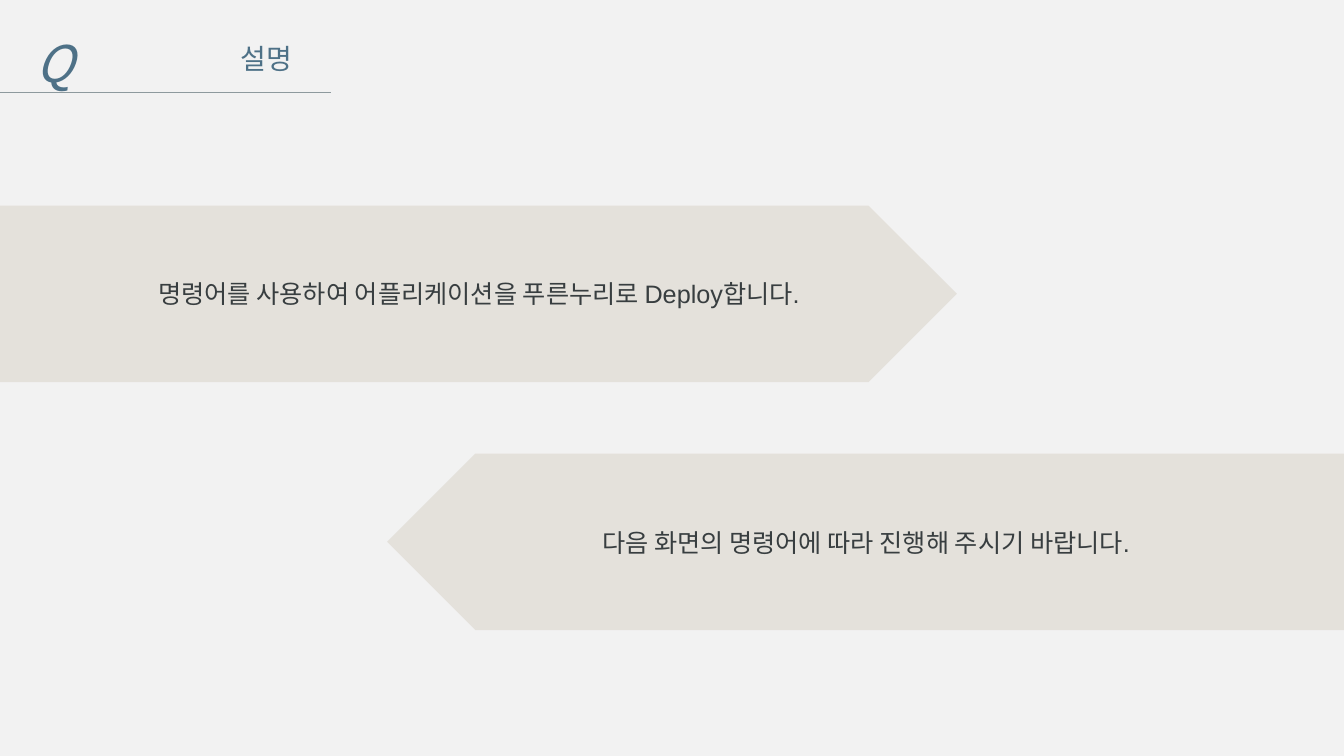
"""Build the explanation slide with two opposing arrow banners."""
import pptx
import pptx.dml.color
import pptx.enum.shapes
import pptx.enum.text
import pptx.oxml.ns
import pptx.util
from dataclasses import dataclass
from lxml import etree

Inches = pptx.util.Inches


@dataclass(frozen=True)
class Theme:
    background: str = "F2F2F2"
    accent: str = "4E7187"
    rule: str = "8E9A9E"
    banner: str = "D1CABC"
    body: str = "383E40"
    banner_opacity: int = 41
    rule_width: float = 0.5
    title_size: int = 20
    letter_size: int = 36
    body_size: int = 18
    title_font: str = "Lato"
    korean_font: str = "Noto Sans CJK KR"
    body_font: str = "Arial"


THEME = Theme()
SLIDE_SIZE = (13.33, 7.5)
HEADER_RULE = {"y": 0.92, "length": 3.28}
BANNER_SIZE = (9.49, 1.75)

HEADINGS = [
    {"text": "설명", "box": (2.26, 0.2, 0.76, 0.61),
     "size": THEME.title_size, "font": THEME.title_font, "italic": False},
    {"text": "Q", "box": (0.25, -0.03, 0.56, 0.91),
     "size": THEME.letter_size, "font": THEME.korean_font, "italic": True},
]
BANNERS = [
    {"text": "명령어를 사용하여 어플리케이션을 푸른누리로 Deploy합니다.",
     "top": 2.04, "text_box": (0.5, 2.71, 8.5, 0.4), "points_left": False},
    {"text": "다음 화면의 명령어에 따라 진행해 주시기 바랍니다.",
     "top": 4.5, "text_box": (4.36, 5.18, 8.46, 0.4), "points_left": True},
]


def color(value):
    return pptx.dml.color.RGBColor.from_string(value)


def add_text(slide, text, box, size, font, fill, italic=False, wrap=True, spacing=None):
    text_box = slide.shapes.add_textbox(*map(Inches, box))
    frame = text_box.text_frame
    frame.word_wrap = wrap
    frame.auto_size = pptx.enum.text.MSO_AUTO_SIZE.SHAPE_TO_FIT_TEXT
    paragraph = frame.paragraphs[0]
    paragraph.alignment = pptx.enum.text.PP_ALIGN.CENTER
    if spacing:
        paragraph.line_spacing = spacing
    run = paragraph.add_run()
    run.text = text
    run.font.size = pptx.util.Pt(size)
    run.font.name = font
    run.font.italic = italic
    run.font.color.rgb = color(fill)
    east_asian = etree.SubElement(run.font._element, pptx.oxml.ns.qn("a:ea"))
    east_asian.set("typeface", THEME.korean_font)


def add_header_rule(slide):
    y = Inches(HEADER_RULE["y"])
    rule = slide.shapes.add_connector(
        pptx.enum.shapes.MSO_CONNECTOR.STRAIGHT, 0, y, Inches(HEADER_RULE["length"]), y)
    rule.line.color.rgb = color(THEME.rule)
    rule.line.width = pptx.util.Pt(THEME.rule_width)
    etree.SubElement(rule._element.spPr, pptx.oxml.ns.qn("a:effectLst"))


def add_banner(slide, banner):
    width, height = BANNER_SIZE
    left = SLIDE_SIZE[0] - width if banner["points_left"] else 0
    shape = slide.shapes.add_shape(
        pptx.enum.shapes.MSO_SHAPE.PENTAGON,
        *map(Inches, (left, banner["top"], width, height)))
    shape.adjustments[0] = 0.5
    shape.shadow.inherit = False
    shape.line.fill.background()
    shape.fill.solid()
    shape.fill.fore_color.rgb = color(THEME.banner)
    fill_color = shape._element.spPr.find(".//" + pptx.oxml.ns.qn("a:srgbClr"))
    alpha = etree.SubElement(fill_color, pptx.oxml.ns.qn("a:alpha"))
    alpha.set("val", str(THEME.banner_opacity * 1000))
    if banner["points_left"]:
        shape._element.spPr.xfrm.set("flipH", "1")
    add_text(slide, banner["text"], banner["text_box"],
             THEME.body_size, THEME.body_font, THEME.body)


def main():
    presentation = pptx.Presentation()
    presentation.slide_width, presentation.slide_height = map(Inches, SLIDE_SIZE)
    slide = presentation.slides.add_slide(presentation.slide_layouts[6])
    slide.background.fill.solid()
    slide.background.fill.fore_color.rgb = color(THEME.background)
    add_header_rule(slide)
    for heading in HEADINGS:
        add_text(slide, **heading, fill=THEME.accent, wrap=False, spacing=1.5)
    for banner in BANNERS:
        add_banner(slide, banner)
    presentation.save("out.pptx")


if __name__ == "__main__":
    main()
